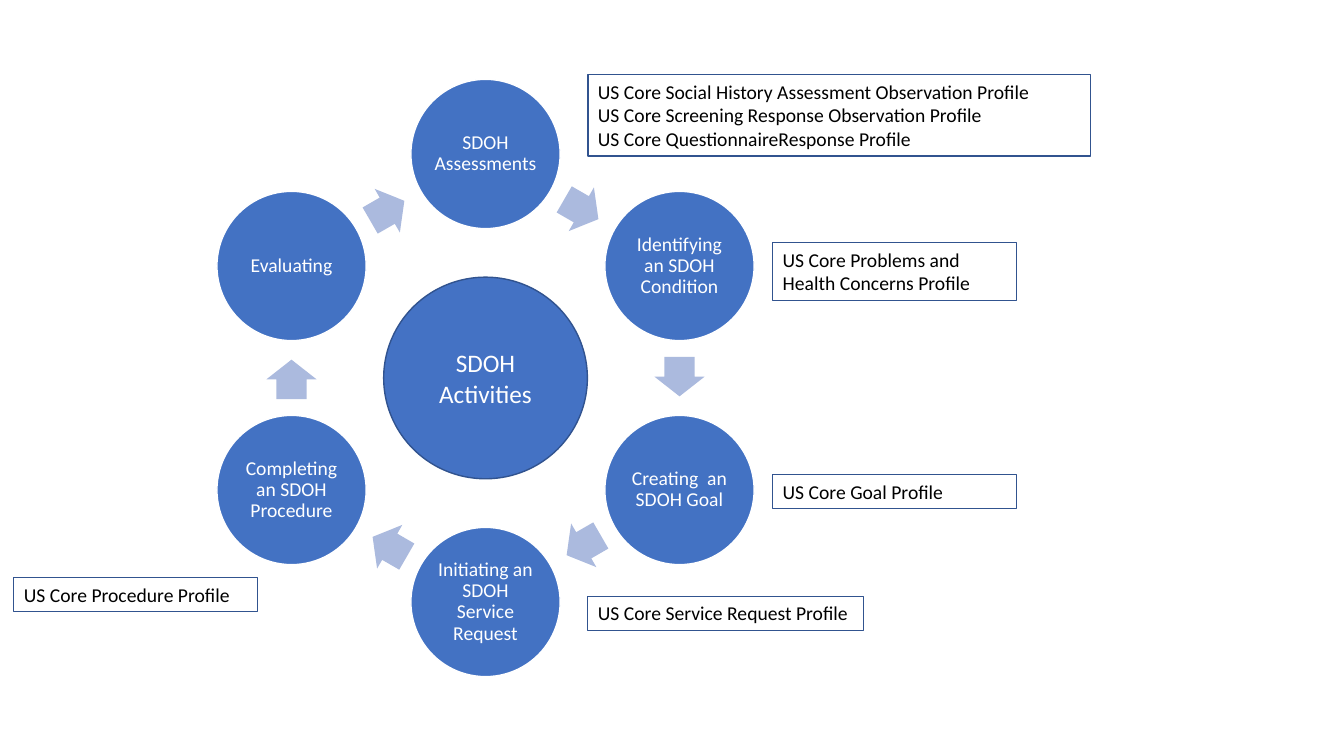
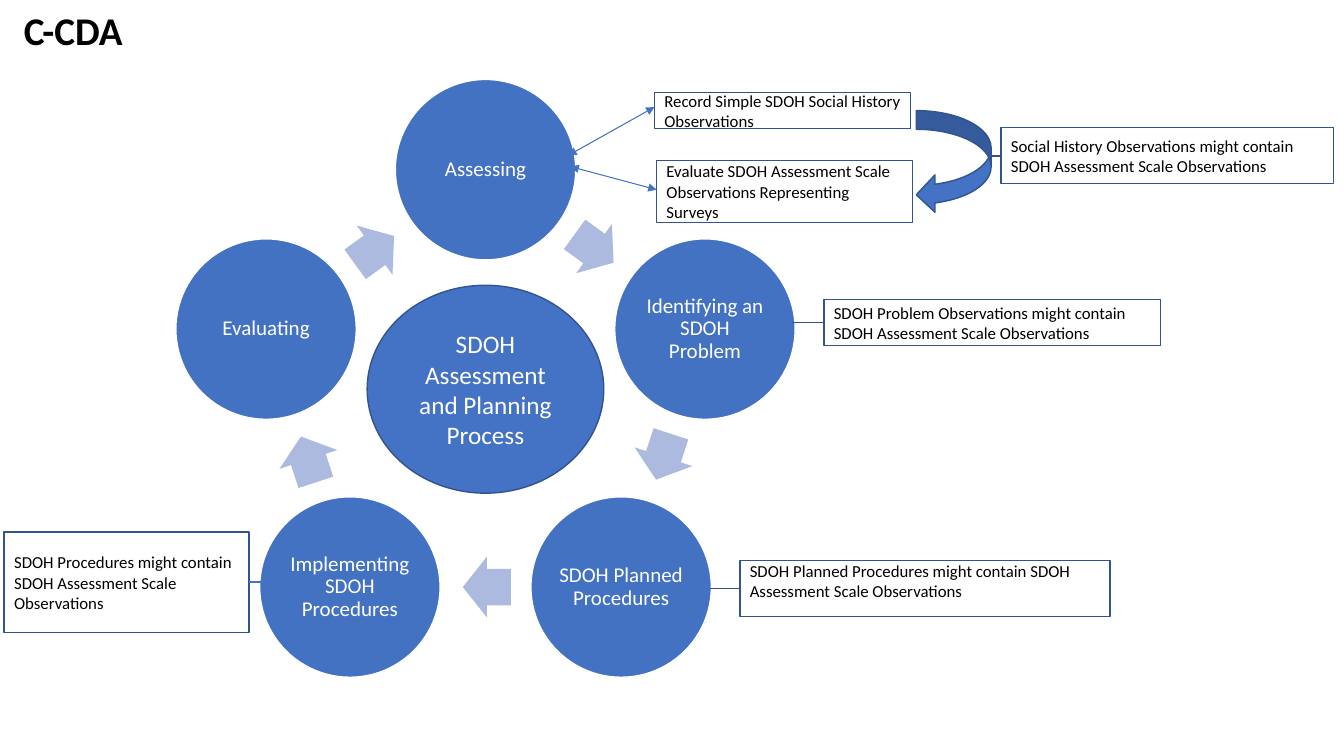
from dataclasses import dataclass
from math import cos, pi, radians, sin

from pptx import Presentation
from pptx.dml.color import RGBColor
from pptx.enum.shapes import MSO_CONNECTOR, MSO_SHAPE
from pptx.enum.text import MSO_ANCHOR, MSO_AUTO_SIZE, PP_ALIGN
from pptx.oxml.ns import qn
from pptx.util import Pt
from lxml.etree import SubElement


@dataclass(frozen=True)
class Theme:
    font: str = "Calibri"
    node: str = "4372C3"
    accent: str = "4472C4"
    edge: str = "31538F"
    arrow: str = "ABBADE"
    light: str = "FFFFFF"
    dark: str = "000000"
    title_size: float = 28
    hub_size: float = 18
    profile_size: float = 14
    note_size: float = 12
    insets: tuple = (7.2, 3.6, 7.2, 3.6)
    node_insets: tuple = (1, 1, 1, 1)


class Diagram:
    def __init__(self, deck, theme):
        self.deck = deck
        self.theme = theme
        self.slide = None

    def new_slide(self):
        self.slide = self.deck.slides.add_slide(self.deck.slide_layouts[6])

    def add_text(self, shape, paragraphs, size, color, align=PP_ALIGN.LEFT,
                 anchor=MSO_ANCHOR.MIDDLE, insets=None, spacing=1.0, bold=False):
        frame = shape.text_frame
        frame.word_wrap = True
        frame.vertical_anchor = anchor
        left, top, right, bottom = insets or self.theme.insets
        frame.margin_left, frame.margin_top = Pt(left), Pt(top)
        frame.margin_right, frame.margin_bottom = Pt(right), Pt(bottom)
        for index, text in enumerate(paragraphs):
            paragraph = frame.add_paragraph() if index else frame.paragraphs[0]
            paragraph.alignment = align
            paragraph.line_spacing = spacing
            run = paragraph.add_run()
            run.text = text
            run.font.name = self.theme.font
            run.font.size = Pt(size)
            run.font.bold = bold
            run.font.color.rgb = RGBColor.from_string(color)

    def shape(self, kind, box, fill=None, line=None, weight=1.0):
        shape = self.slide.shapes.add_shape(kind, *map(Pt, box))
        shape.shadow.inherit = False
        if fill:
            shape.fill.solid()
            shape.fill.fore_color.rgb = RGBColor.from_string(fill)
        else:
            shape.fill.background()
        if line:
            shape.line.color.rgb = RGBColor.from_string(line)
            shape.line.width = Pt(weight)
        else:
            shape.line.fill.background()
        return shape

    def title(self, text, box):
        heading = self.slide.shapes.add_textbox(*map(Pt, box))
        self.add_text(heading, [text], self.theme.title_size, self.theme.dark,
                      anchor=MSO_ANCHOR.TOP, bold=True)

    def ellipse(self, text, center, width, height, fill, line, size, **style):
        x, y = center
        box = (x - width / 2, y - height / 2, width, height)
        ellipse = self.shape(MSO_SHAPE.OVAL, box, fill, line)
        self.add_text(ellipse, [text], size, self.theme.light, PP_ALIGN.CENTER, **style)

    def hub(self, text, center, width, height):
        self.ellipse(text, center, width, height, self.theme.accent,
                     self.theme.edge, self.theme.hub_size)

    def cycle(self, steps, center, radius, diameter, size, arrow_size):
        turn = 360 / len(steps)
        middle_radius = radius * cos(pi / len(steps))
        for index, step in enumerate(steps):
            self.ellipse(step, self.around(center, radius, index * turn),
                         diameter, diameter, self.theme.node, self.theme.light,
                         size, insets=self.theme.node_insets, spacing=0.9)
            heading = (index + 0.5) * turn
            x, y = self.around(center, middle_radius, heading)
            x -= cos(radians(heading))
            y -= sin(radians(heading))
            width, height = arrow_size
            arrow = self.shape(MSO_SHAPE.RIGHT_ARROW,
                               (x - width / 2, y - height / 2, width, height),
                               self.theme.arrow)
            arrow.adjustments[0] = 0.6
            arrow.adjustments[1] = 0.5
            arrow.rotation = heading

    @staticmethod
    def around(center, radius, degrees):
        angle = radians(degrees)
        return center[0] + radius * sin(angle), center[1] - radius * cos(angle)

    def profile(self, lines, box):
        label = self.shape(MSO_SHAPE.RECTANGLE, box, line=self.theme.edge, weight=0.75)
        self.add_text(label, lines, self.theme.profile_size, self.theme.dark,
                      anchor=MSO_ANCHOR.TOP)
        label.text_frame.auto_size = MSO_AUTO_SIZE.SHAPE_TO_FIT_TEXT

    def note(self, text, box, **style):
        note = self.shape(MSO_SHAPE.RECTANGLE, box, line=self.theme.edge)
        self.add_text(note, [text], self.theme.note_size, self.theme.dark, **style)

    def link(self, start, end, color, weight, arrowheads=False):
        link = self.slide.shapes.add_connector(
            MSO_CONNECTOR.STRAIGHT, *map(Pt, (*start, *end)))
        link.line.color.rgb = RGBColor.from_string(color)
        link.line.width = Pt(weight)
        properties = link.element.spPr
        if arrowheads:
            outline = properties.find(qn("a:ln"))
            for tip in ("a:headEnd", "a:tailEnd"):
                SubElement(outline, qn(tip), type="triangle")
        SubElement(properties, qn("a:effectLst"))


deck = Presentation()
deck.slide_width, deck.slide_height = Pt(960), Pt(540)
theme = Theme()
diagram = Diagram(deck, theme)

diagram.new_slide()
activities_center = (346.8, 270)
diagram.cycle(
    ["SDOH Assessments", "Identifying an SDOH Condition", "Creating  an SDOH Goal",
     "Initiating an SDOH Service Request", "Completing an SDOH Procedure", "Evaluating"],
    activities_center, radius=160, diameter=106.6, size=14, arrow_size=(28.2, 36))
diagram.hub("SDOH Activities", activities_center, 145.5, 144)
profiles = [
    (["US Core Social History Assessment Observation Profile",
      "US Core Screening Response Observation Profile",
      "US Core QuestionnaireResponse Profile"], (420, 53.5, 359, 58)),
    (["US Core Problems and Health Concerns Profile"], (552, 173.5, 174, 41)),
    (["US Core Goal Profile"], (552, 339, 174, 24.5)),
    (["US Core Service Request Profile"], (420, 426, 196.5, 24.5)),
    (["US Core Procedure Profile"], (10, 412.5, 174, 24.5)),
]
for lines, box in profiles:
    diagram.profile(lines, box)

diagram.new_slide()
diagram.cycle(
    ["Assessing", "Identifying an SDOH Problem", "SDOH Planned Procedures",
     "Implementing SDOH Procedures", "Evaluating"],
    (346.8, 286), radius=164.8, diameter=128.9, size=15, arrow_size=(34.4, 43.4))
diagram.hub("SDOH Assessment and Planning Process", (346.8, 278), 169, 148.5)
diagram.title("C-CDA", (10, 1, 131, 41))

assessments = [
    ("Record Simple SDOH Social History Observations",
     (467.5, 66, 183, 26), (406, 111), (467.5, 76.5)),
    ("Evaluate SDOH Assessment Scale Observations Representing Surveys",
     (469, 114.5, 183, 44.5), (407.5, 119), (469, 135.5)),
]
for text, box, node_edge, note_edge in assessments:
    diagram.note(text, box)
    diagram.link(node_edge, note_edge, theme.accent, 0.75, arrowheads=True)

diagram.shape(MSO_SHAPE.CURVED_LEFT_ARROW, (654.5, 79, 53.5, 73.5),
              theme.accent, theme.edge)

callouts = [
    ("Social History Observations might contain SDOH Assessment Scale Observations",
     (715, 91, 237.5, 40), (715, 111.5), (707, 111.5), {}),
    ("SDOH Problem Observations might contain SDOH Assessment Scale Observations",
     (588.5, 214, 240.5, 33), (588.5, 230.5), (566, 230.5), {}),
    ("SDOH Planned Procedures might contain SDOH Assessment Scale Observations",
     (528.5, 400.5, 264.5, 40), (528.5, 420.5), (507, 420.5),
     {"anchor": MSO_ANCHOR.TOP, "insets": (7.2, 0, 7.2, 0)}),
]
for text, box, note_edge, target, style in callouts:
    diagram.note(text, box, **style)
    diagram.link(note_edge, target, theme.edge, 1)

diagram.note("SDOH Procedures might contain SDOH Assessment Scale Observations",
             (3, 380, 175, 72))
diagram.link((178, 416), (188, 416), theme.accent, 1.5)

deck.save("out.pptx")
